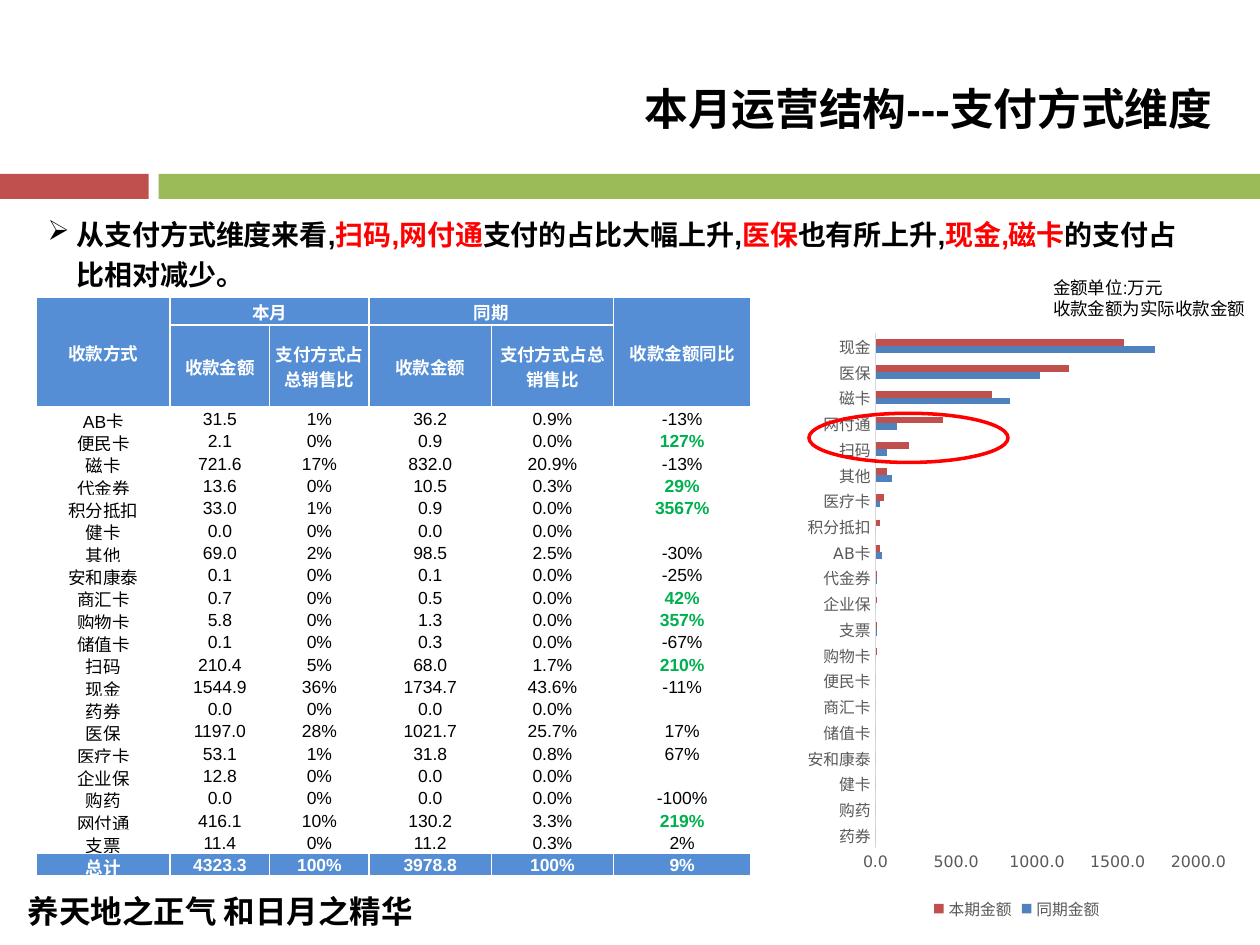
import pptx
import pptx.chart.data
import pptx.dml.color
import pptx.enum.chart
import pptx.enum.shapes
import pptx.enum.text
import pptx.oxml.ns
import pptx.util
from lxml import etree

COLORS = {"black": "000000", "white": "FFFFFF", "red": "FF0000", "green": "00B050",
          "header": "558ED5", "bar_green": "9BBB59", "bar_red": "C0504D",
          "blue": "4F81BD", "grey": "595959", "axis": "D9D9D9"}
LATIN, CJK, CHART_FONT = "Arial", "Noto Sans CJK SC", "DejaVu Sans"
ALIGN, ANCHOR = pptx.enum.text.PP_ALIGN, pptx.enum.text.MSO_ANCHOR
Inches, Pt, qn = pptx.util.Inches, pptx.util.Pt, pptx.oxml.ns.qn

# Content
TITLE = "本月运营结构---支付方式维度"
SLOGAN = "养天地之正气 和日月之精华"
FINDING = [("从支付方式维度来看,", "black"), ("扫码,网付通", "red"),
           ("支付的占比大幅上升,", "black"), ("医保", "red"), ("也有所上升,", "black"),
           ("现金,磁卡", "red"), ("的支付占比相对减少。", "black")]
NOTES = ["金额单位:万元", "收款金额为实际收款金额"]
HEADERS = [["收款方式", "本月", "", "同期", "", "收款金额同比"],
           ["", "收款金额", "支付方式占总销售比", "收款金额", "支付方式占总销售比", ""]]
MERGES = [((0, 0), (1, 0)), ((0, 1), (0, 2)), ((0, 3), (0, 4)), ((0, 5), (1, 5))]
PAYMENTS = [
    ("AB卡", "31.5", "1%", "36.2", "0.9%", "-13%"),
    ("便民卡", "2.1", "0%", "0.9", "0.0%", "127%"),
    ("磁卡", "721.6", "17%", "832.0", "20.9%", "-13%"),
    ("代金券", "13.6", "0%", "10.5", "0.3%", "29%"),
    ("积分抵扣", "33.0", "1%", "0.9", "0.0%", "3567%"),
    ("健卡", "0.0", "0%", "0.0", "0.0%", ""),
    ("其他", "69.0", "2%", "98.5", "2.5%", "-30%"),
    ("安和康泰", "0.1", "0%", "0.1", "0.0%", "-25%"),
    ("商汇卡", "0.7", "0%", "0.5", "0.0%", "42%"),
    ("购物卡", "5.8", "0%", "1.3", "0.0%", "357%"),
    ("储值卡", "0.1", "0%", "0.3", "0.0%", "-67%"),
    ("扫码", "210.4", "5%", "68.0", "1.7%", "210%"),
    ("现金", "1544.9", "36%", "1734.7", "43.6%", "-11%"),
    ("药券", "0.0", "0%", "0.0", "0.0%", ""),
    ("医保", "1197.0", "28%", "1021.7", "25.7%", "17%"),
    ("医疗卡", "53.1", "1%", "31.8", "0.8%", "67%"),
    ("企业保", "12.8", "0%", "0.0", "0.0%", ""),
    ("购药", "0.0", "0%", "0.0", "0.0%", "-100%"),
    ("网付通", "416.1", "10%", "130.2", "3.3%", "219%"),
    ("支票", "11.4", "0%", "11.2", "0.3%", "2%")]
TOTAL = ("总计", "4323.3", "100%", "3978.8", "100%", "9%")
HIGHLIGHTS = {"127%", "29%", "3567%", "42%", "357%", "210%", "219%"}
COLUMN_WIDTHS = [1.06, 0.79, 0.79, 0.97, 0.97, 1.09]
HEADER_HEIGHTS, TOTAL_HEIGHT, TABLE_HEIGHT = [0.22, 0.65], 0.18, 4.6

CATEGORIES = ["药券", "购药", "健卡", "安和康泰", "储值卡", "商汇卡", "便民卡", "购物卡",
              "支票", "企业保", "代金券", "AB卡", "积分抵扣", "医疗卡", "其他", "扫码",
              "网付通", "磁卡", "医保", "现金"]
SERIES = [("同期金额", "blue", [0] * 8 + [10, 0, 10, 40, 0, 30, 100, 70, 130, 830, 1020, 1730]),
          ("本期金额", "bar_red", [0] * 7 + [10, 10, 10, 10, 30, 30, 50, 70, 210, 420, 720,
                                         1200, 1540])]


def rgb(name):
    return pptx.dml.color.RGBColor.from_string(COLORS[name])


def box(left, top, width, height):
    return [Inches(value) for value in (left, top, width, height)]


def add_text(paragraph, text, size=10, color="black", bold=False, font=LATIN):
    run = paragraph.add_run()
    run.text = text
    run.font.size, run.font.bold, run.font.name = Pt(size), bold, font
    run.font.color.rgb = rgb(color)
    east_asian = etree.SubElement(run._r.get_or_add_rPr(), qn("a:ea"))
    east_asian.set("typeface", CJK)


def add_text_box(slide, *place, wrap=True):
    frame = slide.shapes.add_textbox(*box(*place)).text_frame
    frame.word_wrap = wrap
    return frame


def add_bar(slide, color, *place):
    bar = slide.shapes.add_shape(pptx.enum.shapes.MSO_SHAPE.RECTANGLE, *box(*place))
    bar.shadow.inherit = False
    bar.fill.solid()
    bar.fill.fore_color.rgb = rgb(color)
    bar.line.fill.background()


def add_borders(cell, sides):
    for side in sides:
        line = etree.SubElement(cell._tc.get_or_add_tcPr(), qn("a:ln" + side), w="12700")
        fill = etree.SubElement(line, qn("a:solidFill"))
        etree.SubElement(fill, qn("a:srgbClr"), val=COLORS["white"])


def fill_cell(cell, text, sides="", filled=False):
    cell.margin_left = cell.margin_right = cell.margin_top = Inches(0.01)
    cell.margin_bottom = 0
    cell.vertical_anchor = ANCHOR.MIDDLE if filled else ANCHOR.BOTTOM
    add_borders(cell, sides)
    if filled:
        cell.fill.solid()
        cell.fill.fore_color.rgb = rgb("header")
    else:
        cell.fill.background()
    paragraph = cell.text_frame.paragraphs[0]
    paragraph.alignment = ALIGN.CENTER
    highlighted = text in HIGHLIGHTS
    if text:
        color = "white" if filled else "green" if highlighted else "black"
        add_text(paragraph, text, color=color, bold=filled or highlighted)
    else:
        etree.SubElement(paragraph._p, qn("a:endParaRPr"), sz="1000")


def add_payment_table(slide):
    rows = HEADERS + PAYMENTS + [TOTAL]
    last = len(rows) - 1
    place = box(0.29, 2.36, sum(COLUMN_WIDTHS), TABLE_HEIGHT)
    table = slide.shapes.add_table(len(rows), len(COLUMN_WIDTHS), *place).table
    table.first_row = table.horz_banding = False
    for column, width in zip(table.columns, COLUMN_WIDTHS):
        column.width = Inches(width)
    body = (TABLE_HEIGHT - sum(HEADER_HEIGHTS) - TOTAL_HEIGHT) / len(PAYMENTS)
    heights = HEADER_HEIGHTS + [body] * len(PAYMENTS) + [TOTAL_HEIGHT]
    borders = {0: "LRTB", 1: "LRTB", 2: "T", last - 1: "B", last: "LRT"}
    for index, (row, height) in enumerate(zip(rows, heights)):
        table.rows[index].height = Inches(height)
        for column, text in enumerate(row):
            fill_cell(table.cell(index, column), text, borders.get(index, ""),
                      filled=index < len(HEADERS) or index == last)
    for start, end in MERGES:
        table.cell(*start).merge(table.cell(*end))


def style_font(font, size=9, color="grey"):
    font.size, font.name = Pt(size), CHART_FONT
    font.color.rgb = rgb(color)


def add_payment_chart(slide):
    data = pptx.chart.data.CategoryChartData(number_format="0.0")
    data.categories = CATEGORIES
    for name, _, values in SERIES:
        data.add_series(name, values)
    kind = pptx.enum.chart.XL_CHART_TYPE.BAR_CLUSTERED
    chart = slide.shapes.add_chart(kind, *box(6.34, 2.55, 3.46, 4.79), data).chart
    style_font(chart.font, 10, "black")
    chart.has_title = False
    chart.has_legend = True
    chart.legend.position = pptx.enum.chart.XL_LEGEND_POSITION.BOTTOM
    chart.legend.include_in_layout = False
    style_font(chart.legend.font)
    plot = chart.plots[0]
    plot.gap_width, plot.overlap, plot.vary_by_categories = 182, 0, False
    for series, (_, color, _) in zip(plot.series, SERIES):
        series.format.fill.solid()
        series.format.fill.fore_color.rgb = rgb(color)
    for axis in (chart.category_axis, chart.value_axis):
        axis.has_major_gridlines = False
        axis.major_tick_mark = axis.minor_tick_mark = pptx.enum.chart.XL_TICK_MARK.NONE
        style_font(axis.tick_labels.font)
    chart.category_axis.format.line.color.rgb = rgb("axis")
    chart.category_axis.format.line.width = Pt(0.75)
    value_axis = chart.value_axis
    value_axis.minimum_scale, value_axis.maximum_scale, value_axis.major_unit = 0, 2000, 500
    value_axis.format.line.fill.background()
    value_axis.tick_labels.number_format = "0.0"
    value_axis.tick_labels.number_format_is_linked = False


def main():
    presentation = pptx.Presentation()
    presentation.slide_width, presentation.slide_height = Inches(10), Inches(7.5)
    slide = presentation.slides.add_slide(presentation.slide_layouts[5])

    # Divider and slogan
    add_bar(slide, "bar_green", 1.26, 1.38, 8.74, 0.2)
    add_bar(slide, "bar_red", 0, 1.38, 1.18, 0.2)
    slogan = add_text_box(slide, 0.12, 7.03, 4.02, 0.4).paragraphs[0]
    add_text(slogan, SLOGAN, size=18, bold=True, font=CJK)

    # Title
    title = slide.shapes.title
    title.left, title.top, title.width, title.height = box(3.28, 0.6, 6.44, 0.52)
    title.text_frame.vertical_anchor = ANCHOR.MIDDLE
    title.text_frame.paragraphs[0].alignment = ALIGN.RIGHT
    add_text(title.text_frame.paragraphs[0], TITLE, size=25, bold=True)

    # Finding with arrow bullet
    finding = add_text_box(slide, 0.28, 1.62, 9.34, 0.75).paragraphs[0]
    finding.line_spacing = 1.2
    properties = finding._p.get_or_add_pPr()
    properties.set("marL", str(Inches(0.23)))
    properties.set("indent", str(-Inches(0.23)))
    etree.SubElement(properties, qn("a:buChar"), char="➢")
    for text, color in FINDING:
        add_text(finding, text, size=16, color=color, bold=True)

    # Unit notes
    notes = add_text_box(slide, 8.26, 2.15, 1.74, 0.44, wrap=False)
    for index, text in enumerate(NOTES):
        add_text(notes.add_paragraph() if index else notes.paragraphs[0], text)

    add_payment_table(slide)
    add_payment_chart(slide)

    # Ring around the two mobile payments
    ring = slide.shapes.add_shape(pptx.enum.shapes.MSO_SHAPE.OVAL, *box(6.42, 3.28, 1.58, 0.39))
    ring.shadow.inherit = False
    ring.fill.background()
    ring.line.color.rgb, ring.line.width = rgb("red"), Pt(2)
    presentation.save("out.pptx")


if __name__ == "__main__":
    main()
